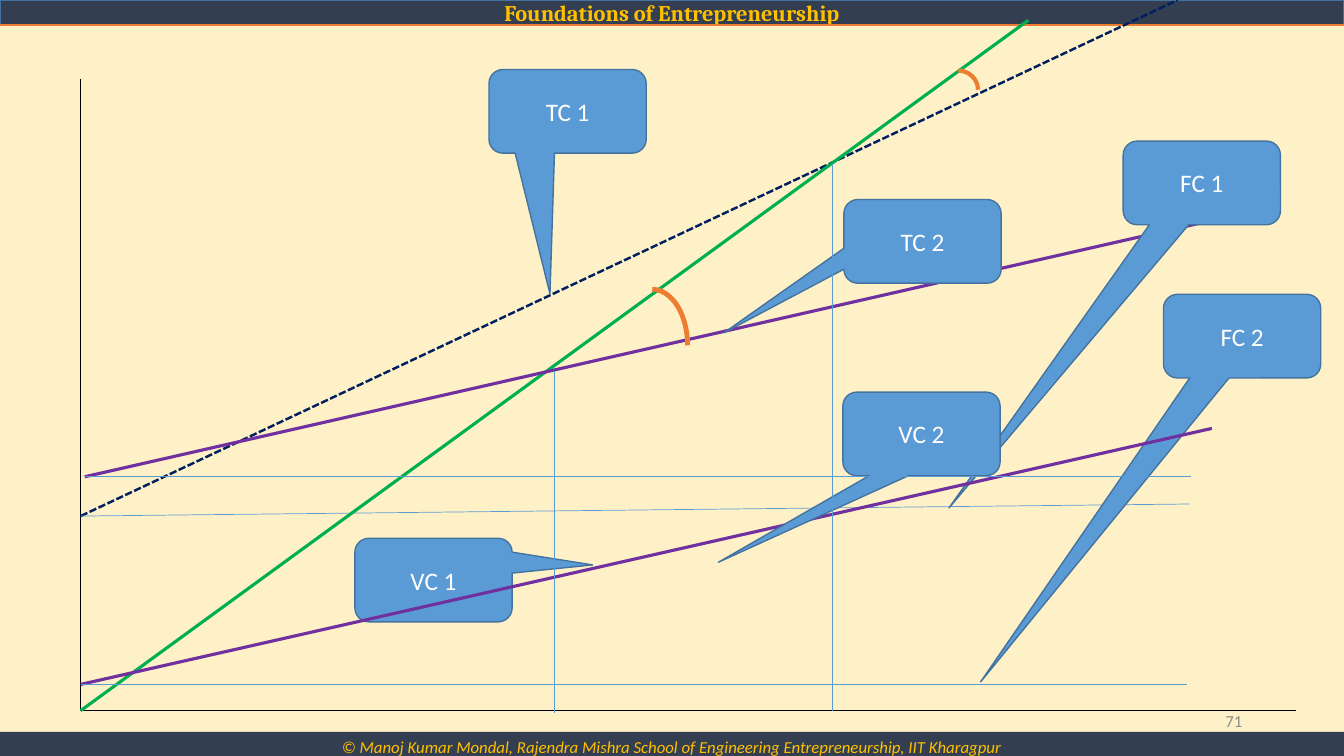
from lxml import etree
from pptx import Presentation
from pptx import util as u
from pptx.dml.color import RGBColor
from pptx.enum import dml, shapes, text
from pptx.oxml.ns import qn

CREAM = RGBColor(0xFF, 0xF1, 0xC7)
SLATE = RGBColor(0x33, 0x3F, 0x50)
GOLD = RGBColor(0xFF, 0xC0, 0x00)
ORANGE = RGBColor(0xED, 0x7D, 0x31)
BLUE = RGBColor(0x5B, 0x9B, 0xD5)
EDGE = RGBColor(0x43, 0x73, 0x9E)
NAVY = RGBColor(0x00, 0x20, 0x60)
GREEN = RGBColor(0x00, 0xB0, 0x50)
PURPLE = RGBColor(0x70, 0x30, 0xA0)
BLACK = RGBColor(0, 0, 0)
WHITE = RGBColor(255, 255, 255)
GREY = RGBColor(0x8C, 0x8C, 0x8C)

WIDE, HIGH = 13.33, 7.5
TITLE = "Foundations of Entrepreneurship"
FOOTER = ("© Manoj Kumar Mondal, Rajendra Mishra School of Engineering "
          "Entrepreneurship, IIT Kharagpur")
PAGE = "71"

LEFT, BASE = 0.8, 7.05
TOTAL, FIXED, LOW = 5.12, 4.73, 6.79  # heights where cost lines start
# start, end, colour, width
COSTS = [
    ((LEFT, TOTAL), (11.68, 0), NAVY, 1.75),
    ((LEFT, TOTAL), (11.8, 5), BLUE, 0.5),
    ((LEFT, BASE), (10.2, 0.2), GREEN, 2.25),
    ((0.84, FIXED), (12.05, 2.18), PURPLE, 2.25),
]
VARIED = ((LEFT, LOW), (12.02, 4.25), PURPLE, 2.25)
GUIDES = [
    ((LEFT, LOW), (11.77, LOW), BLUE, 0.5),
    ((0.84, FIXED), (11.81, FIXED), BLUE, 0.5),
    ((5.5, 3.68), (5.5, 7.07), BLUE, 0.5),
    ((8.26, 1.63), (8.26, BASE), BLUE, 0.5),
]
# left, top, width, height, line width
ARCS = [(9.31, 0.7, 0.39, 0.38, 3), (6.12, 2.87, 0.7, 1.11, 3.5)]
# label, left, top, tip offset from the centre in box widths and heights
NOTES = [
    ("FC 1", 11.14, 1.4, -1.608, 3.886),
    ("FC 2", 11.54, 2.92, -1.663, 4.133),
    ("TC 1", 4.85, 0.69, -0.112, 2.184),
    ("VC 1", 3.52, 5.34, 1.012, -0.181),
    ("TC 2", 8.37, 1.98, -1.263, 1.093),
]
LAST = ("VC 2", 8.36, 3.89, -1.291, 1.534)
NOTE_W, NOTE_H = 1.56, 0.83

MID = text.PP_ALIGN.CENTER
KIND = shapes.MSO_SHAPE
LINK = shapes.MSO_CONNECTOR


def write(shape, words, color, size, align=MID, name="Calibri",
          anchor=text.MSO_ANCHOR.MIDDLE, **more):
    frame = shape.text_frame
    frame.text = words
    frame.word_wrap = True
    frame.auto_size = text.MSO_AUTO_SIZE.NONE
    frame.vertical_anchor = anchor
    para = frame.paragraphs[0]
    para.alignment = align
    look = dict(name=name, size=u.Pt(size), **more)
    for key, val in look.items():
        setattr(para.font, key, val)
    para.font.color.rgb = color


def paint(shape, fill, edge=None, width=1):
    shape.fill.solid()
    shape.fill.fore_color.rgb = fill
    if edge is None:
        shape.line.fill.background()
    else:
        shape.line.color.rgb = edge
        shape.line.width = u.Pt(width)


def add(slide, kind, *box):
    shape = slide.shapes.add_shape(kind, *map(u.Inches, box))
    shape.shadow.inherit = False
    return shape


def draw(slide, start, end, color, width, kind=LINK.STRAIGHT):
    line = slide.shapes.add_connector(kind, *map(u.Inches, start + end))
    line.line.color.rgb = color
    line.line.width = u.Pt(width)
    etree.SubElement(line._element.spPr, qn("a:effectLst"))
    return line


def add_axes(slide):
    """Draw both axes as one elbow that turns at the lower left corner."""
    axes = draw(slide, (LEFT, 0.78), (12.85, BASE), BLACK, 0.5, LINK.ELBOW)
    geom = axes._element.spPr.find(qn("a:prstGeom"))
    turns = geom.find(qn("a:avLst"))
    if turns is None:
        turns = etree.SubElement(geom, qn("a:avLst"))
    etree.SubElement(turns, qn("a:gd"), name="adj1", fmla="val 0")


def add_note(slide, label, left, top, *tip):
    note = add(slide, KIND.ROUNDED_RECTANGULAR_CALLOUT,
               left, top, NOTE_W, NOTE_H)
    for spot, val in enumerate(tip):
        note.adjustments[spot] = val
    paint(note, BLUE, EDGE)
    write(note, label, WHITE, 18)


def add_frame(slide):
    """Add the title bar, the footer bar and the page number."""
    title = slide.shapes.title
    place = dict(left=0, top=0, width=WIDE, height=0.25)
    for key, val in place.items():
        setattr(title, key, u.Inches(val))
    paint(title, SLATE, EDGE)
    write(title, TITLE, GOLD, 16, name="Cambria", bold=True)
    draw(slide, (0, 0.25), (WIDE, 0.25), ORANGE, 1.5)

    foot = add(slide, KIND.RECTANGLE, 0, 7.26, WIDE, 0.3)
    paint(foot, SLATE)
    write(foot, FOOTER, GOLD, 12, anchor=text.MSO_ANCHOR.TOP, italic=True)

    page = slide.shapes.add_textbox(*map(u.Inches, (9.42, 6.95, 3, 0.4)))
    write(page, PAGE, GREY, 12, text.PP_ALIGN.RIGHT)


def main():
    deck = Presentation()
    deck.slide_width, deck.slide_height = u.Inches(WIDE), u.Inches(HIGH)
    slide = deck.slides.add_slide(deck.slide_layouts[5])
    back = slide.background.fill
    back.solid()
    back.fore_color.rgb = CREAM
    add_frame(slide)
    add_axes(slide)

    lines = [draw(slide, *cost) for cost in COSTS]
    lines[0].line.dash_style = dml.MSO_LINE.SQUARE_DOT
    for *box, width in ARCS:
        arc = add(slide, KIND.ARC, *box)
        arc.fill.background()
        arc.line.color.rgb = ORANGE
        arc.line.width = u.Pt(width)
    for note in NOTES:
        add_note(slide, *note)
    draw(slide, *VARIED)
    add_note(slide, *LAST)
    for guide in GUIDES:
        draw(slide, *guide)
    deck.save("out.pptx")


if __name__ == "__main__":
    main()
